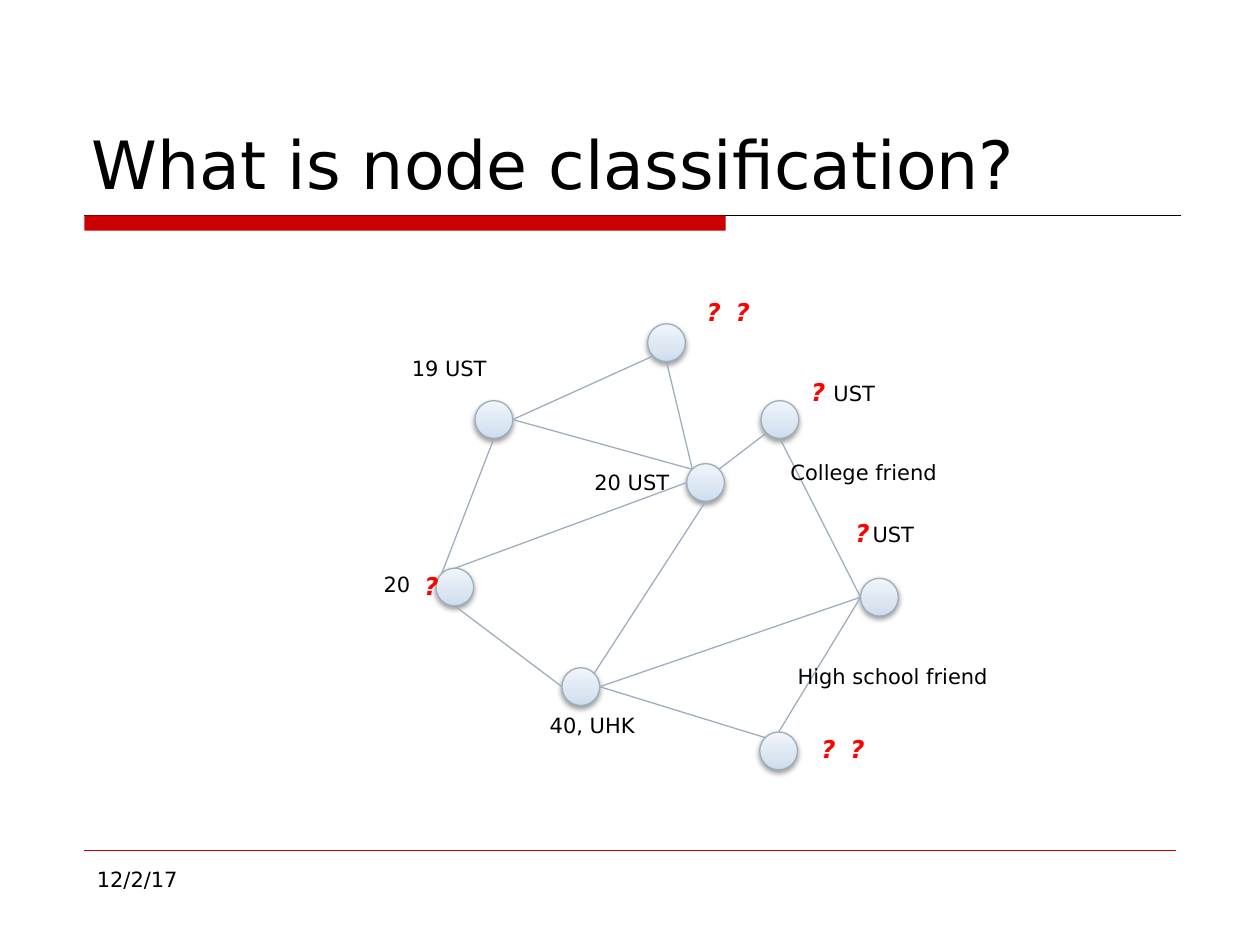
import pptx
import pptx.util
import pptx.dml.color
import pptx.enum.shapes
import pptx.enum.text
import pptx.oxml
import pptx.oxml.ns
from lxml import etree

Inches = pptx.util.Inches
Pt = pptx.util.Pt
ALIGN = pptx.enum.text.PP_ALIGN
ANCHOR = pptx.enum.text.MSO_ANCHOR
SHAPE = pptx.enum.shapes.MSO_SHAPE
qn = pptx.oxml.ns.qn


def rgb(value):
    return pptx.dml.color.RGBColor.from_string(value)


class SlideBuilder:
    font = "DejaVu Sans"
    accent = "CC0000"
    edge = "9FAEBD"
    node_size = 0.3
    node_stops = [(0, "CCDCEE"), (35, "DBE6F2"), (100, "F0F5FB")]
    label = {"size": Pt(12), "color": "000000"}
    unknown = {"size": Pt(14), "color": "FF0000", "bold": True, "italic": True}
    heading = {"size": Pt(38), "color": "000000"}

    def __init__(self, slide):
        self.s = slide

    def set_text(self, tf, text, fmt, align):
        tf.text = text
        p = tf.paragraphs[0]
        p.alignment = align
        r = p.runs[0]
        r.font.name = self.font
        for key, value in fmt.items():
            if key == "color":
                r.font.color.rgb = rgb(value)
            else:
                setattr(r.font, key, value)

    def title(self, text, x, y, w, h):
        sp = self.s.shapes.title
        sp.left, sp.top, sp.width, sp.height = map(Inches, (x, y, w, h))
        tf = sp.text_frame
        tf.auto_size = pptx.enum.text.MSO_AUTO_SIZE.NONE
        tf.vertical_anchor = ANCHOR.BOTTOM
        self.set_text(tf, text, self.heading, ALIGN.LEFT)

    def text(self, text, x, y, w, h=0.3, fmt=None, align=ALIGN.CENTER, wrap=True):
        sp = self.s.shapes.add_textbox(*map(Inches, (x, y, w, h)))
        tf = sp.text_frame
        tf.word_wrap = wrap
        self.set_text(tf, text, fmt or self.label, align)

    def bar(self, x, y, w, h):
        sp = self.s.shapes.add_shape(SHAPE.RECTANGLE, *map(Inches, (x, y, w, h)))
        sp.shadow.inherit = False
        sp.fill.solid()
        sp.fill.fore_color.rgb = rgb(self.accent)
        sp.line.fill.background()

    def line(self, start, end, color, width=0.75):
        ends = map(Inches, (*start, *end))
        cxn = self.s.shapes.add_connector(
            pptx.enum.shapes.MSO_CONNECTOR.STRAIGHT, *ends)
        cxn.line.color.rgb = rgb(color)
        cxn.line.width = Pt(width)
        etree.SubElement(cxn._element.spPr, qn("a:effectLst"))

    def node(self, x, y):
        d = self.node_size
        sp = self.s.shapes.add_shape(SHAPE.OVAL, *map(Inches, (x, y, d, d)))
        sp.line.color.rgb = rgb(self.edge)
        sp.line.width = Pt(0.75)
        # Three-stop gradient, light at the top
        sp.fill.gradient()
        sp.fill.gradient_angle = 90
        stops = sp._element.spPr.find(".//" + qn("a:gsLst"))
        for old in list(stops):
            stops.remove(old)
        for pos, color in self.node_stops:
            gs = etree.SubElement(stops, qn("a:gs"), pos=str(pos * 1000))
            etree.SubElement(gs, qn("a:srgbClr"), val=color)
        # Soft shadow below
        sp.shadow.inherit = False
        effects = sp._element.spPr.find(qn("a:effectLst"))
        shadow = etree.SubElement(
            effects, qn("a:outerShdw"), blurRad=str(int(Pt(3.1))),
            dist=str(int(Pt(1.6))), dir="5400000", rotWithShape="0")
        black = etree.SubElement(shadow, qn("a:srgbClr"), val="000000")
        etree.SubElement(black, qn("a:alpha"), val="38000")


# Top-left corners of the nodes
NODES = {
    "college": (6.04, 3.18), "top": (5.14, 2.57), "left": (3.77, 3.18),
    "lower left": (3.46, 4.51), "center": (5.45, 3.68),
    "right": (6.83, 4.59), "bottom": (4.46, 5.3), "school": (6.03, 5.81),
}
# Points on a node's rim, as fractions of its size
SITES = {
    "N": (0.5, 0), "S": (0.5, 1), "W": (0, 0.5), "E": (1, 0.5),
    "NW": (0.15, 0.15), "NE": (0.85, 0.15), "SW": (0.15, 0.85),
}
EDGES = [
    ("left", "E", "top", "SW"), ("college", "SW", "center", "NE"),
    ("left", "E", "center", "NW"), ("top", "S", "center", "NW"),
    ("bottom", "E", "school", "NW"), ("center", "S", "bottom", "NE"),
    ("school", "N", "right", "W"), ("college", "S", "right", "W"),
    ("bottom", "W", "lower left", "S"), ("bottom", "E", "right", "W"),
    ("lower left", "N", "center", "W"), ("left", "S", "lower left", "NW"),
]
# Text, left, top, width, wrap
LABELS = [
    ("40, UHK", 4.06, 5.61, 1.28, True), ("19 UST", 2.97, 2.77, 1.19, True),
    ("20 UST", 4.48, 3.68, 1.07, True), ("UST", 6.82, 4.09, 0.54, False),
    ("20", 2.94, 4.49, 0.42, False),
    ("College friend", 6.17, 3.6, 1.37, False),
    ("High school friend", 6.22, 5.22, 1.73, False),
    ("UST", 6.51, 2.97, 0.54, False),
]
UNKNOWNS = [(3.27, 4.48), (5.51, 2.31), (6.34, 2.94), (5.74, 2.31),
            (6.69, 4.06), (6.42, 5.78), (6.65, 5.78)]


def rim(name, site):
    return [pos + f * SlideBuilder.node_size
            for pos, f in zip(NODES[name], SITES[site])]


def main():
    prs = pptx.Presentation()
    prs.slide_width, prs.slide_height = Inches(10), Inches(7.5)
    b = SlideBuilder(prs.slides.add_slide(prs.slide_layouts[5]))

    # Rules, title and date
    b.line((0.67, 1.71), (9.37, 1.71), "000000", 0.5)
    b.bar(0.67, 1.71, 5.09, 0.12)
    b.line((0.67, 6.75), (9.33, 6.75), b.accent, 0.25)
    b.title("What is node classification?", 0.63, 0.33, 8.75, 1.33)
    b.text("12/2/17", 0.67, 6.83, 2.17, 0.52, align=ALIGN.LEFT)

    # Graph
    for x, y in NODES.values():
        b.node(x, y)
    for start, start_site, end, end_site in EDGES:
        b.line(rim(start, start_site), rim(end, end_site), b.edge)

    # Known and unknown labels
    for text, x, y, w, wrap in LABELS:
        b.text(text, x, y, w, wrap=wrap)
    for x, y in UNKNOWNS:
        b.text("?", x, y, 0.2, 0.34, fmt=b.unknown)

    prs.save("out.pptx")


if __name__ == "__main__":
    main()
